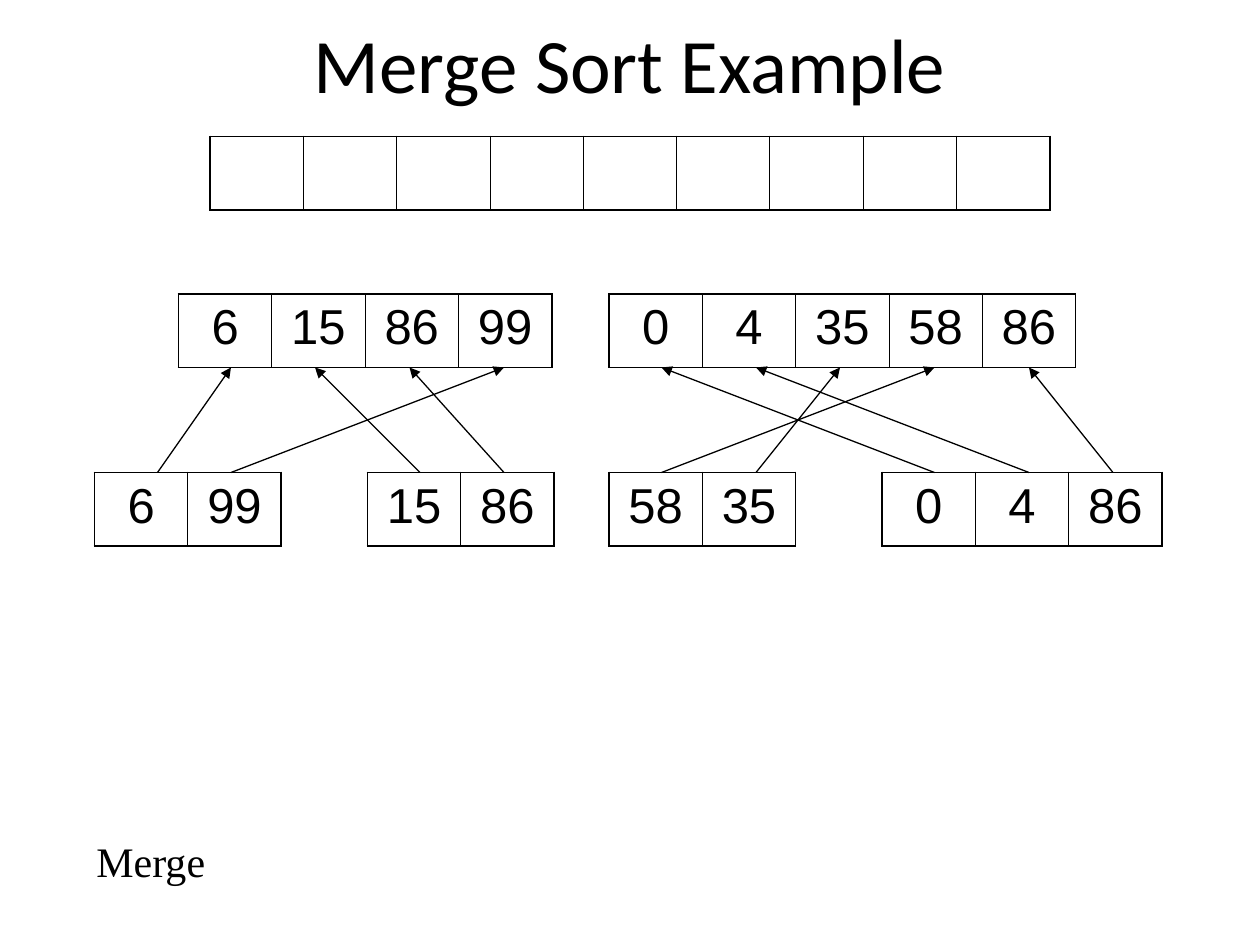
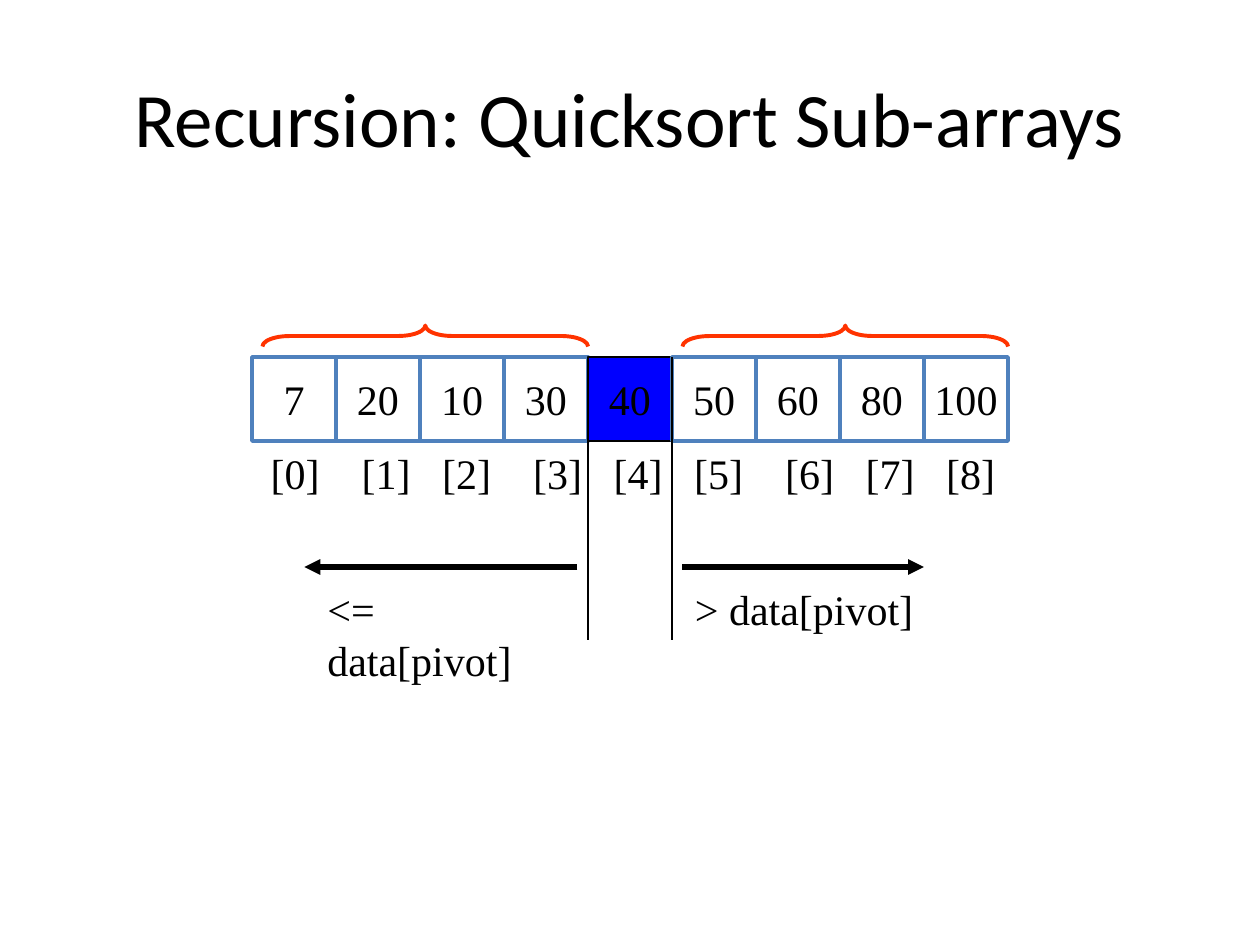
from dataclasses import dataclass
from itertools import accumulate

from lxml.etree import SubElement
from pptx import Presentation
from pptx.dml.color import RGBColor
from pptx.enum.shapes import MSO_CONNECTOR, MSO_SHAPE
from pptx.enum.text import MSO_ANCHOR, PP_ALIGN
from pptx.oxml import parse_xml
from pptx.oxml.ns import nsdecls, qn
from pptx.slide import Slide
from pptx.text.text import TextFrame
from pptx.util import Emu, Inches, Pt

# Shared grid: 120 columns by 90 rows, twelve to the inch
UNIT = Inches(1) / 12
COLUMNS, ROWS = 120, 90

# Shared colours and fonts
BLACK, WHITE = "000000", "FFFFFF"
CELL_BLUE, PIVOT_BLUE, BRACE_RED = "4F81BD", "0000FF", "FF3300"
TITLE_FONT, MERGE_FONT, BODY_FONT = "Calibri", "Arial", "Times New Roman"

# Merge sort measures
MERGE_CELL, MERGE_ROW = 80 / 9, 7
HALVES_TOP, QUARTERS_TOP = 28, 45
OUTER_BORDER, INNER_BORDER = 1.08, 0.45

# Quicksort measures
DATA_LEFT, DATA_TOP, DATA_CELL = 24, 34, 8
PIVOT_INDEX = 4
INDEX_WIDTH, INDEX_GAPS = 28, (24, 18, 24, 18, 18, 24, 18, 18)  # points


@dataclass(frozen=True)
class Area:
    left: float
    top: float
    width: float
    height: float

    def emu(self) -> tuple[Emu, ...]:
        return tuple(map(grid, (self.left, self.top, self.width, self.height)))


@dataclass(frozen=True)
class SubArray:
    left: float
    top: float
    values: tuple[str, ...]


@dataclass(frozen=True)
class Line:
    start: tuple[float, float]
    end: tuple[float, float]
    weight: float = 0.75
    arrow: bool = True


SUB_ARRAYS = (
    SubArray(20, 13, ("",) * 9),
    SubArray(17, HALVES_TOP, ("6", "15", "86", "99")),
    SubArray(58, HALVES_TOP, ("0", "4", "35", "58", "86")),
    SubArray(9, QUARTERS_TOP, ("6", "99")),
    SubArray(35, QUARTERS_TOP, ("15", "86")),
    SubArray(58, QUARTERS_TOP, ("58", "35")),
    SubArray(84, QUARTERS_TOP, ("0", "4", "86")),
)
# Column each merged value leaves from and arrives at
MERGE_MOVES = ((15, 22), (40, 30), (22, 48), (48, 39), (63, 89),
               (89, 63), (98, 72), (72, 80), (106, 98))
DATA = ("7", "20", "10", "30", "40", "50", "60", "80", "100")


def grid(units: float) -> Emu:
    return Emu(round(units * UNIT))


def colour(value: str) -> RGBColor:
    return RGBColor.from_string(value)


def write(frame: TextFrame, text: str, font: str, size: float,
          align: PP_ALIGN = PP_ALIGN.LEFT) -> None:
    paragraph = frame.paragraphs[0]
    paragraph.alignment = align
    run = paragraph.add_run()
    run.text = text
    run.font.name, run.font.size = font, Pt(size)
    run.font.color.rgb = colour(BLACK)


def add_text(slide: Slide, area: Area, text: str, font: str = BODY_FONT,
             size: float = 24, align: PP_ALIGN = PP_ALIGN.LEFT,
             anchor: MSO_ANCHOR = MSO_ANCHOR.TOP, wrap: bool = True) -> TextFrame:
    frame = slide.shapes.add_textbox(*area.emu()).text_frame
    frame.word_wrap = wrap
    frame.vertical_anchor = anchor
    write(frame, text, font, size, align)
    return frame


def add_title(slide: Slide, area: Area, text: str) -> None:
    add_text(slide, area, text, TITLE_FONT, 44, PP_ALIGN.CENTER, MSO_ANCHOR.MIDDLE)


def add_line(slide: Slide, line: Line) -> None:
    points = map(grid, (*line.start, *line.end))
    connector = slide.shapes.add_connector(MSO_CONNECTOR.STRAIGHT, *points)
    connector.line.color.rgb = colour(BLACK)
    connector.line.width = Pt(line.weight)
    if line.arrow:
        SubElement(connector.line._get_or_add_ln(), qn("a:tailEnd"), type="triangle")
    SubElement(connector._element.spPr, qn("a:effectLst"))


def border_cell(cell, first: bool, last: bool) -> None:
    weights = {"L": OUTER_BORDER if first else INNER_BORDER,
               "R": OUTER_BORDER if last else INNER_BORDER,
               "T": OUTER_BORDER, "B": OUTER_BORDER}
    properties = cell._tc.get_or_add_tcPr()
    for position, (side, weight) in enumerate(weights.items()):
        properties.insert(position, parse_xml(
            f'<a:ln{side} {nsdecls("a")} w="{Pt(weight)}"><a:solidFill>'
            f'<a:srgbClr val="{BLACK}"/></a:solidFill></a:ln{side}>'))


def add_sub_array(slide: Slide, array: SubArray) -> None:
    count = len(array.values)
    area = Area(array.left, array.top, count * MERGE_CELL, MERGE_ROW)
    table = slide.shapes.add_table(1, count, *area.emu()).table
    table.first_row = table.horz_banding = False
    for index, value in enumerate(array.values):
        table.columns[index].width = grid(MERGE_CELL)
        cell = table.cell(0, index)
        cell.fill.background()
        border_cell(cell, index == 0, index == count - 1)
        if value:
            write(cell.text_frame, value, MERGE_FONT, 28, PP_ALIGN.CENTER)


def add_data_cell(slide: Slide, index: int, value: str) -> None:
    area = Area(DATA_LEFT + index * DATA_CELL, DATA_TOP, DATA_CELL, DATA_CELL)
    cell = slide.shapes.add_shape(MSO_SHAPE.RECTANGLE, *area.emu())
    fill, outline, weight = ((PIVOT_BLUE, BLACK, 0.75) if index == PIVOT_INDEX
                             else (WHITE, CELL_BLUE, 2))
    cell.shadow.inherit = False
    cell.fill.solid()
    cell.fill.fore_color.rgb = colour(fill)
    cell.line.color.rgb = colour(outline)
    cell.line.width = Pt(weight)
    cell.text_frame.word_wrap = False
    cell.text_frame.vertical_anchor = MSO_ANCHOR.MIDDLE
    write(cell.text_frame, value, BODY_FONT, 24, PP_ALIGN.CENTER)


def add_brace(slide: Slide, left: float, span: float = 31, depth: float = 2) -> None:
    # A left brace turned a quarter about its centre points upwards
    centre_x, centre_y = left + span / 2, DATA_TOP - depth
    area = Area(centre_x - depth / 2, centre_y - span / 2, depth, span)
    brace = slide.shapes.add_shape(MSO_SHAPE.LEFT_BRACE, *area.emu())
    brace.rotation = 90
    brace.adjustments[0] = 1.29
    brace.shadow.inherit = False
    brace.fill.background()
    brace.line.color.rgb = colour(BRACE_RED)
    brace.line.width = Pt(2.25)


def add_indices(slide: Slide) -> None:
    labels = "\t".join(f"[{index}]" for index in range(len(DATA)))
    frame = add_text(slide, Area(24.6, 42, 75, 6), labels)
    stops = SubElement(frame.paragraphs[0]._p.get_or_add_pPr(), qn("a:tabLst"))
    for stop in accumulate(INDEX_WIDTH + gap for gap in INDEX_GAPS):
        SubElement(stops, qn("a:tab"), pos=str(Pt(stop)), algn="l")


def build_merge_sort(slide: Slide) -> None:
    add_title(slide, Area(9, 0, 102, 12), "Merge Sort Example")
    for array in SUB_ARRAYS:
        add_sub_array(slide, array)
    add_text(slide, Area(8, 79, 61, 6), "Merge")
    for source, target in MERGE_MOVES:
        add_line(slide, Line((source, QUARTERS_TOP), (target, HALVES_TOP + MERGE_ROW)))


def build_quicksort(slide: Slide) -> None:
    add_title(slide, Area(6, 3.6, 108, 15), "Recursion: Quicksort Sub-arrays")
    for index, value in enumerate(DATA):
        add_data_cell(slide, index, value)
    add_indices(slide)

    # Pivot boundaries and the two directions
    pivot_left = DATA_LEFT + PIVOT_INDEX * DATA_CELL
    pivot_right = pivot_left + DATA_CELL
    for edge in (pivot_left, pivot_right):
        add_line(slide, Line((edge, DATA_TOP), (edge, 61), arrow=False))
    add_line(slide, Line((pivot_left - 1, 54), (29, 54), 3))
    add_line(slide, Line((pivot_right + 1, 54), (88, 54), 3))
    add_text(slide, Area(30, 55, 25.4, 6), "<= data[pivot]", wrap=False)
    add_text(slide, Area(65, 55, 23.2, 6), "> data[pivot]", wrap=False)

    # Braces over both partitions
    for left in (DATA_LEFT + 1, pivot_right + 1):
        add_brace(slide, left)


def main() -> None:
    deck = Presentation()
    deck.slide_width, deck.slide_height = grid(COLUMNS), grid(ROWS)
    blank = deck.slide_layouts[6]
    for build in (build_merge_sort, build_quicksort):
        build(deck.slides.add_slide(blank))
    deck.save("out.pptx")


if __name__ == "__main__":
    main()
